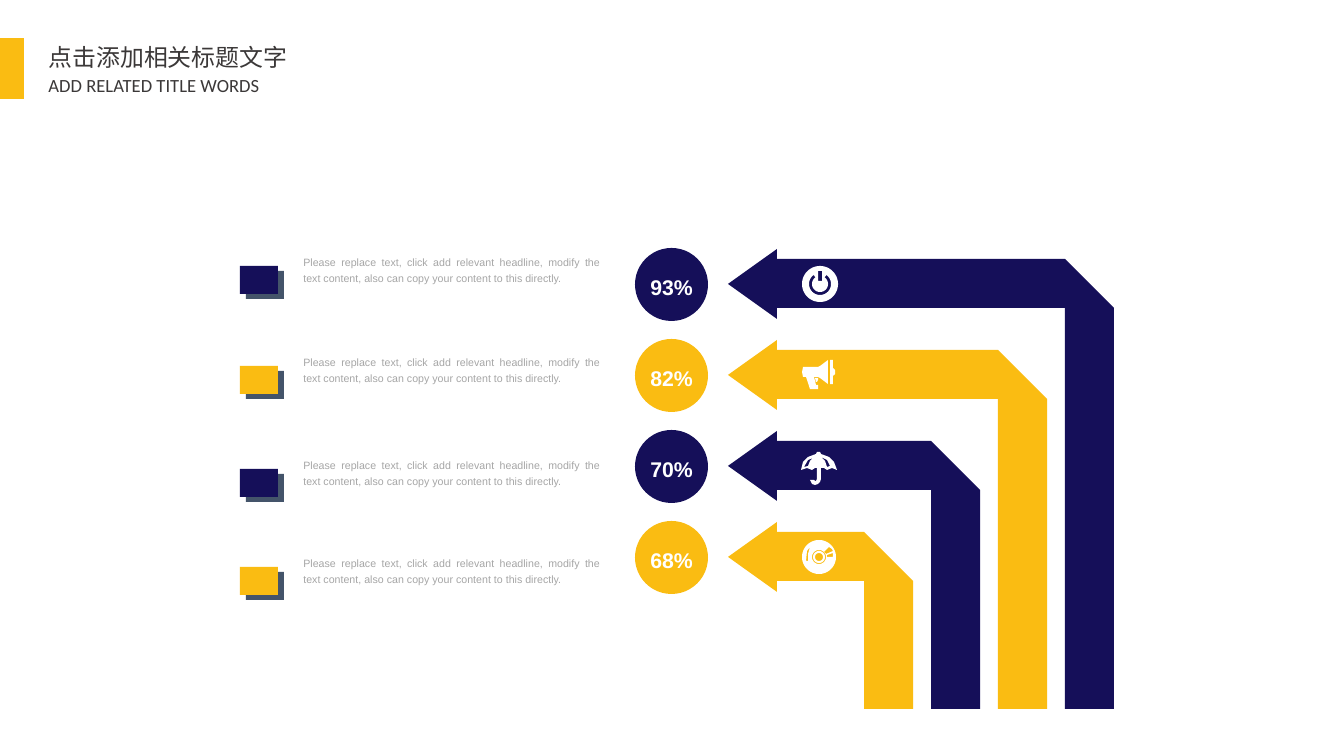
"""Build a slide with four folded arrows, their percentages and captions."""
from math import cos, radians, sin

from lxml import etree
from pptx import Presentation
from pptx import util as u
from pptx.dml.color import RGBColor
from pptx.enum import shapes, text
from pptx.oxml.ns import qn

NAVY = RGBColor(0x15, 0x0F, 0x59)
YELLOW = RGBColor(0xFA, 0xBC, 0x12)
SLATE = RGBColor(0x44, 0x54, 0x6A)
GREY = RGBColor(0xA6, 0xA6, 0xA6)
DARK = RGBColor(0x3B, 0x38, 0x38)
WHITE = RGBColor(0xFF, 0xFF, 0xFF)
PX = 9565


def arc(cx, cy, r, start=0, end=360, step=5):
    """Return points clockwise from the top, angles in degrees."""
    turn = step if end > start else -step
    return [(cx + r * sin(radians(a)), cy - r * cos(radians(a)))
            for a in range(start, end + turn, turn)]


POWER = [
    arc(0, 0, 18),
    arc(0, 0, 11, 35, 325) + arc(0, 0, 8, 325, 35),
    [(-2, -13), (2, -13), (2, -3), (-2, -3)],
]
MEGAPHONE = [
    [(-17, -8), (-2, -8), (0, -9), (8, -15), (8, 9), (0, 3), (-2, 2), (-6, 2),
     (-4, 10), (-2, 10), (-2, 14), (-10, 14), (-14, 2), (-17, 2), (-18, -3)],
    [(13, -7), (15, -5), (15, -1), (13, 1), (13, 9), (10, 9), (10, -15), (13, -15)],
    [(-2, 3), (-5, 3), (-4, 7), (-3, 7), (-2, 5)],
]
UMBRELLA = [
    [(-19, 4), (-17, -4), (-12, -9), (-4, -12), (-3, -14), (0, -14), (1, -12),
     (9, -9), (14, -4), (17, 4), (12, 2), (7, 4), (4, 2), (1, 2), (1, 13),
     (0, 16), (-2, 18), (-5, 19), (-8, 18), (-10, 14), (-6, 14), (-5, 15),
     (-4, 15), (-3, 13), (-3, 2), (-5, 2), (-8, 4), (-13, 2)],
    [(7, 1), (10, 0), (7, -6), (1, -9), (5, -5)],
    [(-16, 1), (-12, 0), (-10, -5), (-7, -8), (-12, -6)],
]
DISC = [
    arc(-1, 0, 17), arc(-1, 0, 7), arc(-1, 0, 6), arc(-1, 0, 4),
    [(-10, -10), (-13, -6), (-14, 4), (-12, 4), (-12, -3)],
    [(4, -5), (6, -3), (13, -6), (12, -8), (9, -10)],
    [(13, -4), (7, -2), (7, 0), (13, 0)],
]
TITLE = "点击添加相关标题文字"
SUBTITLE = "ADD RELATED TITLE WORDS"
CAPTION = ("Please replace text, click add relevant headline, modify the text "
           "content, also can copy your content to this directly.")
ROWS = [
    ("93%", NAVY, POWER, 266),
    ("82%", YELLOW, MEGAPHONE, 366),
    ("70%", NAVY, UMBRELLA, 469),
    ("68%", YELLOW, DISC, 567),
]
FIRST_Y, ROW_STEP = 284, 91
FIRST_FOLD, FOLD_STEP = 1065, 67
TIP, NECK, BOTTOM = 728, 777, 709
HEAD_HALF, BAND = 35, 49
CIRCLE = 73


def paint(sp, color):
    sp.shadow.inherit = False
    sp.fill.solid()
    sp.fill.fore_color.rgb = color
    sp.line.fill.background()


def add_preset(s, kind, x, y, w, h, color):
    sp = s.shapes.add_shape(kind, x * PX, y * PX, w * PX, h * PX)
    paint(sp, color)
    return sp


def add_outline(s, contours, color, x=0, y=0):
    scaled = [[((x + dx) * PX, (y + dy) * PX) for dx, dy in c] for c in contours]
    fb = s.shapes.build_freeform(*scaled[0][0], scale=1.0)
    for i, points in enumerate(scaled):
        if i:
            fb.move_to(*points[0])
        fb.add_line_segments(points[1:], close=True)
    paint(fb.convert_to_shape(), color)


def write(tf, content, *, size, font, color, bold=False, wrap=False,
          align=None, spacing=None):
    tf.word_wrap = wrap
    p = tf.paragraphs[0]
    p.alignment = align
    p.line_spacing = spacing
    r = p.add_run()
    r.text = content
    r.font.size = u.Pt(size)
    r.font.name = font
    r.font.bold = bold
    r.font.color.rgb = color
    etree.SubElement(r.font._element, qn("a:ea")).set("typeface", font)


def add_text(s, x, y, w, h, content, **style):
    box = s.shapes.add_textbox(x * PX, y * PX, w * PX, h * PX)
    write(box.text_frame, content, **style)


def add_row(s, i, percent, color, icon, marker_y):
    cy = FIRST_Y + i * ROW_STEP
    fold = FIRST_FOLD - i * FOLD_STEP
    top, right = cy - BAND // 2 - 1, fold + BAND
    low = top + BAND

    sp = add_preset(s, shapes.MSO_SHAPE.OVAL, 635, cy - CIRCLE // 2,
                    CIRCLE, CIRCLE, color)
    tf = sp.text_frame
    tf.margin_left = tf.margin_right = tf.margin_top = tf.margin_bottom = 0
    tf.vertical_anchor = text.MSO_ANCHOR.MIDDLE
    write(tf, percent, size=16, font="Arial", color=WHITE, bold=True,
          align=text.PP_ALIGN.CENTER, spacing=1.2)

    arrow = [(TIP, cy), (NECK, cy - HEAD_HALF), (NECK, top), (fold, top),
             (right, low), (right, BOTTOM), (fold, BOTTOM), (fold, low),
             (NECK, low), (NECK, cy + HEAD_HALF)]
    add_outline(s, [arrow], color)
    add_outline(s, icon, WHITE, 820, cy)

    rect = shapes.MSO_SHAPE.RECTANGLE
    add_preset(s, rect, 246, marker_y + 5, 38, 28, SLATE)
    add_preset(s, rect, 240, marker_y, 38, 28, color)
    add_text(s, 294, marker_y - 17, 316, 39, CAPTION, size=8, font="Arial",
             color=GREY, wrap=True, align=text.PP_ALIGN.JUSTIFY, spacing=1.2)


def main():
    prs = Presentation()
    prs.slide_width, prs.slide_height = 1344 * PX, 756 * PX
    s = prs.slides.add_slide(prs.slide_layouts[6])
    add_preset(s, shapes.MSO_SHAPE.RECTANGLE, 0, 38, 24, 61, YELLOW)
    for i, row in enumerate(ROWS):
        add_row(s, i, *row)
    add_text(s, 39, 38, 262, 39, TITLE, size=18, font="Noto Sans CJK SC", color=DARK)
    add_text(s, 39, 69, 233, 32, SUBTITLE, size=14, font="Calibri", color=DARK)
    prs.save("out.pptx")


if __name__ == "__main__":
    main()
